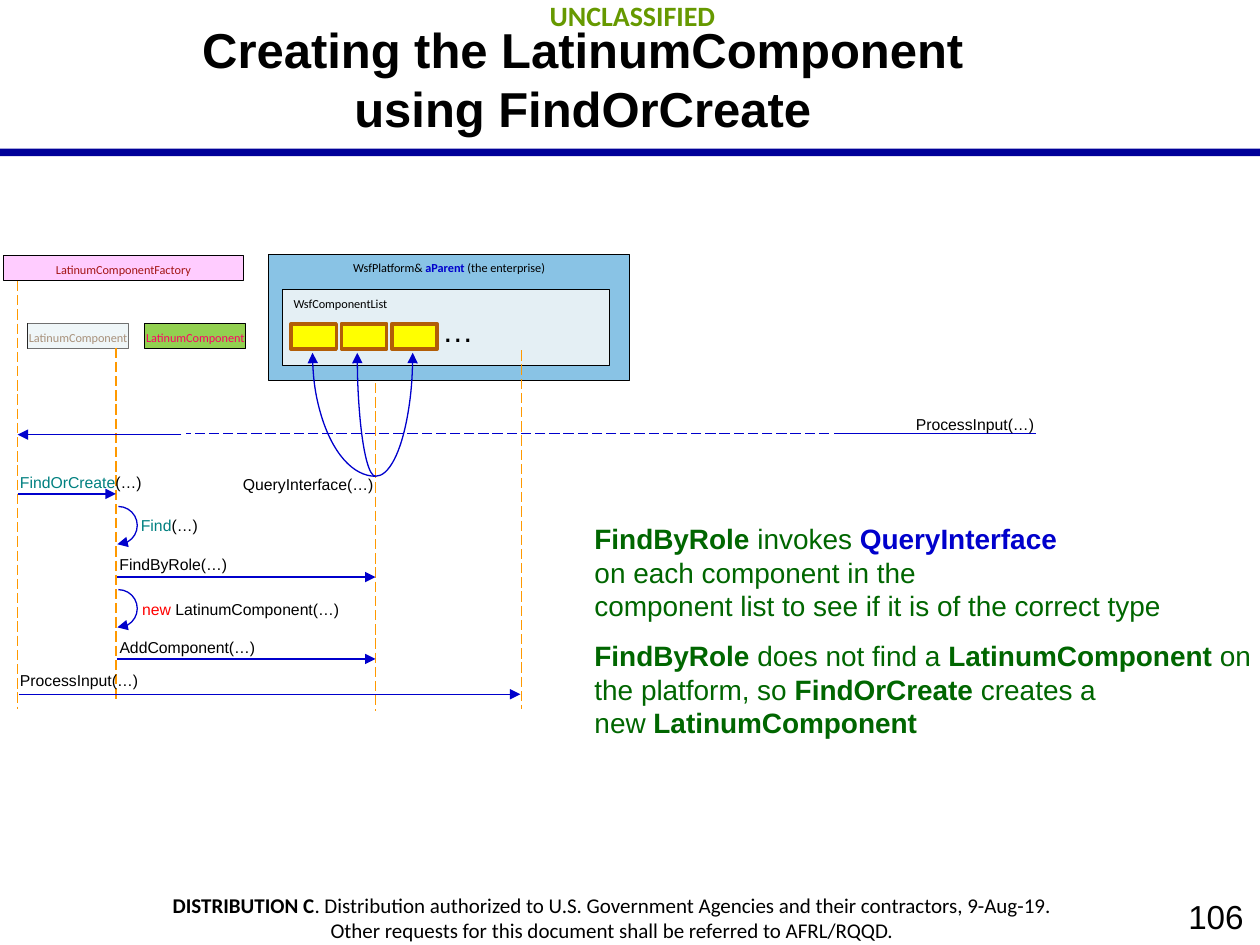
from lxml import etree
from pptx import Presentation
from pptx.dml.color import RGBColor
from pptx.enum.dml import MSO_LINE
from pptx.enum.shapes import MSO_CONNECTOR, MSO_SHAPE
from pptx.enum.text import MSO_ANCHOR, MSO_AUTO_SIZE, PP_ALIGN
from pptx.oxml.ns import qn
from pptx.util import Inches, Pt

RECT, ARC, STRAIGHT = MSO_SHAPE.RECTANGLE, MSO_SHAPE.ARC, MSO_CONNECTOR.STRAIGHT
LEFT, CENTER, RIGHT = PP_ALIGN.LEFT, PP_ALIGN.CENTER, PP_ALIGN.RIGHT
TOP, MIDDLE = MSO_ANCHOR.TOP, MSO_ANCHOR.MIDDLE
DASH, FIT = MSO_LINE.LONG_DASH, MSO_AUTO_SIZE.SHAPE_TO_FIT_TEXT
BLACK, BLUE, ORANGE, TEAL, GREEN = "000000", "0000CC", "FF9900", "008080", "006600"
WIDE_INSETS = (0.13, 0.07, 0.13, 0.07)
BOX_INSETS = (0, 0.05, 0, 0.05)


def rgb(value):
    """Turn a hex string into a colour."""
    return RGBColor.from_string(value)


def fill_text(tf, paragraphs, size, font="Arial", align=LEFT, anchor=TOP,
              insets=(0.1, 0.05, 0.1, 0.05), wrap=True):
    """Write paragraphs of (text, colour, bold) runs into a text frame."""
    margins = zip(("left", "top", "right", "bottom"), insets)
    frame = {f"margin_{side}": Inches(gap) for side, gap in margins}
    frame.update(word_wrap=wrap, vertical_anchor=anchor)
    for name, value in frame.items():
        setattr(tf, name, value)
    for i, runs in enumerate(paragraphs):
        p = tf.add_paragraph() if i else tf.paragraphs[0]
        p.alignment = align
        for text, color, bold in runs:
            r = p.add_run()
            r.text = text
            for name, value in dict(name=font, size=Pt(size), bold=bold).items():
                setattr(r.font, name, value)
            r.font.color.rgb = rgb(color)


def add_text(s, box, paragraphs, size, **style):
    """Add a text box that grows with its text."""
    sp = s.shapes.add_textbox(*map(Inches, box))
    fill_text(sp.text_frame, paragraphs, size, **style)
    sp.text_frame.auto_size = FIT


def add_label(s, left, top, width, *runs):
    """Add a one-line call label."""
    add_text(s, (left, top, width, 0.25), [runs], 9, wrap=False)


def add_box(s, box, fill, line=BLACK, width=0.5, runs=(), align=CENTER, indent=0):
    """Add a rectangle with an optional outline and small caption."""
    sp = s.shapes.add_shape(RECT, *map(Inches, box))
    sp.shadow.inherit = False
    sp.fill.solid()
    sp.fill.fore_color.rgb = rgb(fill)
    if line:
        sp.line.color.rgb = rgb(line)
        sp.line.width = Pt(width)
    else:
        sp.line.fill.background()
    if runs:
        fill_text(sp.text_frame, [runs], 7, "Calibri", align,
                  insets=(indent, *BOX_INSETS[1:]))
    return sp


def style_line(sp, color, arrow, dash=None):
    """Set the stroke, dash and arrowhead of a line or arc."""
    sp.line.color.rgb = rgb(color)
    sp.line.width = Pt(0.75)
    if dash:
        sp.line.dash_style = dash
    if arrow:
        ln = sp.element.spPr.find(qn("a:ln"))
        etree.SubElement(ln, qn("a:tailEnd"), type="triangle")


def add_line(s, x1, y1, x2, y2, color=BLUE, arrow=True, dash=None):
    """Add a straight line, by default a call arrow."""
    sp = s.shapes.add_connector(STRAIGHT, *map(Inches, (x1, y1, x2, y2)))
    style_line(sp, color, arrow, dash)
    etree.SubElement(sp.element.spPr, qn("a:effectLst"))


def add_arc(s, box, angles=None, rotation=0, flip=False):
    """Add an arc that ends in an arrowhead."""
    sp = s.shapes.add_shape(ARC, *map(Inches, box))
    sp.shadow.inherit = False
    sp.fill.background()
    for i, angle in enumerate(angles or ()):
        sp.adjustments[i] = angle
    sp.rotation = rotation
    if flip:
        sp.element.spPr.find(qn("a:xfrm")).set("flipH", "1")
    style_line(sp, BLUE, True)


def add_header(s, left, top, width):
    """Place the rule, the marking and the title."""
    add_box(s, (left, top + 1.18, width, 0.06), "000099", None)
    add_text(s, (left + 0.02, top - 0.08, width, 0.4),
             [[("UNCLASSIFIED", "669900", True)]], 16, font="Calibri",
             align=CENTER, insets=WIDE_INSETS)
    title = s.shapes.title
    place = dict(left=left + 1, top=top, width=7.25, height=1.25)
    for name, value in place.items():
        setattr(title, name, Inches(value))
    text = "Creating the LatinumComponent\vusing FindOrCreate"
    fill_text(title.text_frame, [], 28, anchor=MIDDLE, insets=WIDE_INSETS)
    title.text_frame.text = text
    p = title.text_frame.paragraphs[0]
    p.alignment = CENTER
    for r in p.runs:
        for name, value in dict(name="Arial", size=Pt(28), bold=True).items():
            setattr(r.font, name, value)
        r.font.color.rgb = rgb(BLACK)


def add_footer(s, left, top, width):
    """Place the distribution statement and the page number."""
    statement = [
        [("DISTRIBUTION C", BLACK, True),
         (". Distribution authorized to U.S. Government Agencies and their "
          "contractors, 9-Aug-19.", BLACK, False)],
        [("Other requests for this document shall be referred to AFRL/RQQD.", BLACK, False)],
    ]
    add_text(s, (left - 0.14, top, width, 0.54), statement, 12, font="Calibri",
             align=CENTER, insets=WIDE_INSETS)
    add_text(s, (left + width - 2, top + 0.04, 2, 0.45), [[("106", BLACK, False)]], 19,
             align=RIGHT, anchor=MIDDLE, insets=WIDE_INSETS)


def add_platform(s, left, top):
    """Place the platform with its list of components."""
    add_box(s, (left, top, 2.87, 1), "89C3E5", runs=[
        ("WsfPlatform& ", BLACK, False), ("aParent", BLUE, True),
        (" (the enterprise)", BLACK, False)])
    add_box(s, (left + 0.11, top + 0.28, 2.6, 0.6), "E4EFF4", align=LEFT, indent=0.09,
            runs=[("WsfComponentList", BLACK, False)])
    for i in range(3):
        add_box(s, (left + 0.18 + 0.4 * i, top + 0.55, 0.36, 0.2), "FFFF00", "B25E07", 2)
    add_text(s, (left + 1.28, top + 0.4, 0.45, 0.4), [[("…", BLACK, False)]], 18, wrap=False)


def add_factory(s, left, top):
    """Place the factory, its faded component and the new component."""
    add_box(s, (left, top, 1.9, 0.2), "FFCCFF",
            runs=[("LatinumComponentFactory", "A31515", False)])
    for dx, fill, color in ((0.19, "E4EFF4", "643C14"), (1.12, "92D050", "FF0066")):
        add_box(s, (left + dx, top + 0.54, 0.8, 0.2), fill,
                runs=[("LatinumComponent", color, False)])
    veil = add_box(s, (left + 0.19, top + 0.53, 0.89, 0.21), "FFFFFF", None)
    color = veil.element.spPr.find(".//" + qn("a:srgbClr"))
    etree.SubElement(color, qn("a:alpha"), val="44000")


def add_calls(s, left, top):
    """Place the lifelines and the calls between them."""
    for dx, start, end in ((0, 0, 3.4), (0.78, 0.53, 3.33), (2.84, 0.81, 3.41), (4, 0.55, 3.4)):
        add_line(s, left + dx, top + start, left + dx, top + end, ORANGE, False, DASH)
    y = top + 1.21
    add_line(s, left + 1.3, y + 0.01, left, y + 0.01)
    add_line(s, left + 8.08, y, left + 6.48, y, arrow=False)
    add_line(s, left + 6.44, y, left + 1.34, y, arrow=False, dash=DASH)
    for x1, x2, dy in ((0, 0.78, 1.69), (0.79, 2.84, 2.35), (0.79, 2.84, 3), (0.01, 3.99, 3.28)):
        add_line(s, left + x1, top + dy, left + x2, top + dy)
    for dy in (1.79, 2.45):
        add_arc(s, (left + 0.65, top + dy, 0.3, 0.3), (162, 55.84))
    dots = ("(…)", BLACK, False)
    labels = [
        (7.03, 1.01, 1.15, ("ProcessInput(…)", BLACK, False)),
        (-0.08, 1.47, 1.18, ("FindOrCreate", TEAL, False), dots),
        (0.88, 1.81, 0.66, ("Find", TEAL, False), dots),
        (0.71, 2.12, 1.06, ("FindByRole(…)", BLACK, False)),
        (0.89, 2.48, 1.78, ("new ", "FF0000", False), ("LatinumComponent(…)", BLACK, False)),
        (0.71, 2.78, 1.29, ("AddComponent(…)", BLACK, False)),
        (-0.08, 3.04, 1.15, ("ProcessInput(…)", BLACK, False)),
        (1.69, 1.49, 1.25, ("QueryInterface(…)", BLACK, False)),
    ]
    for dx, dy, width, *runs in labels:
        add_label(s, left + dx, top + dy, width, *runs)


def add_queries(s, center, top):
    """Place the arcs that rise from one point to the components."""
    for width, flip in ((1, False), (0.29, False), (0.59, True)):
        add_arc(s, (center - width / 2, top, width, 1.96), rotation=180, flip=flip)


def add_notes(s, left, top):
    """Place the two explanations."""
    invokes = [
        [("FindByRole", GREEN, True), (" invokes ", GREEN, False),
         ("QueryInterface", BLUE, True)],
        [("on each component in the", GREEN, False)],
        [("component list to see if it is of the correct type", GREEN, False)],
    ]
    creates = [
        [("FindByRole", GREEN, True), (" does not find a ", GREEN, False),
         ("LatinumComponent", GREEN, True), (" on", GREEN, False)],
        [("the platform, so ", GREEN, False), ("FindOrCreate", GREEN, True),
         (" creates a", GREEN, False)],
        [("new ", GREEN, False), ("LatinumComponent", GREEN, True)],
    ]
    for dy, width, paragraphs in ((0, 4.76, invokes), (0.93, 5.54, creates)):
        add_text(s, (left, top + dy, width, 0.91), paragraphs, 16, wrap=False)


def main():
    """Build the slide and save it."""
    prs = Presentation()
    prs.slide_width, prs.slide_height = Inches(10), Inches(7.5)
    s = prs.slides.add_slide(prs.slide_layouts[5])
    add_header(s, 0, 0, 10)
    add_footer(s, 0, 7.01, 10)
    add_platform(s, 2.13, 2.02)
    add_factory(s, 0.03, 2.03)
    add_calls(s, 0.14, 2.23)
    add_queries(s, 2.98, 1.82)
    add_notes(s, 4.62, 4.09)
    prs.save("out.pptx")


if __name__ == "__main__":
    main()
